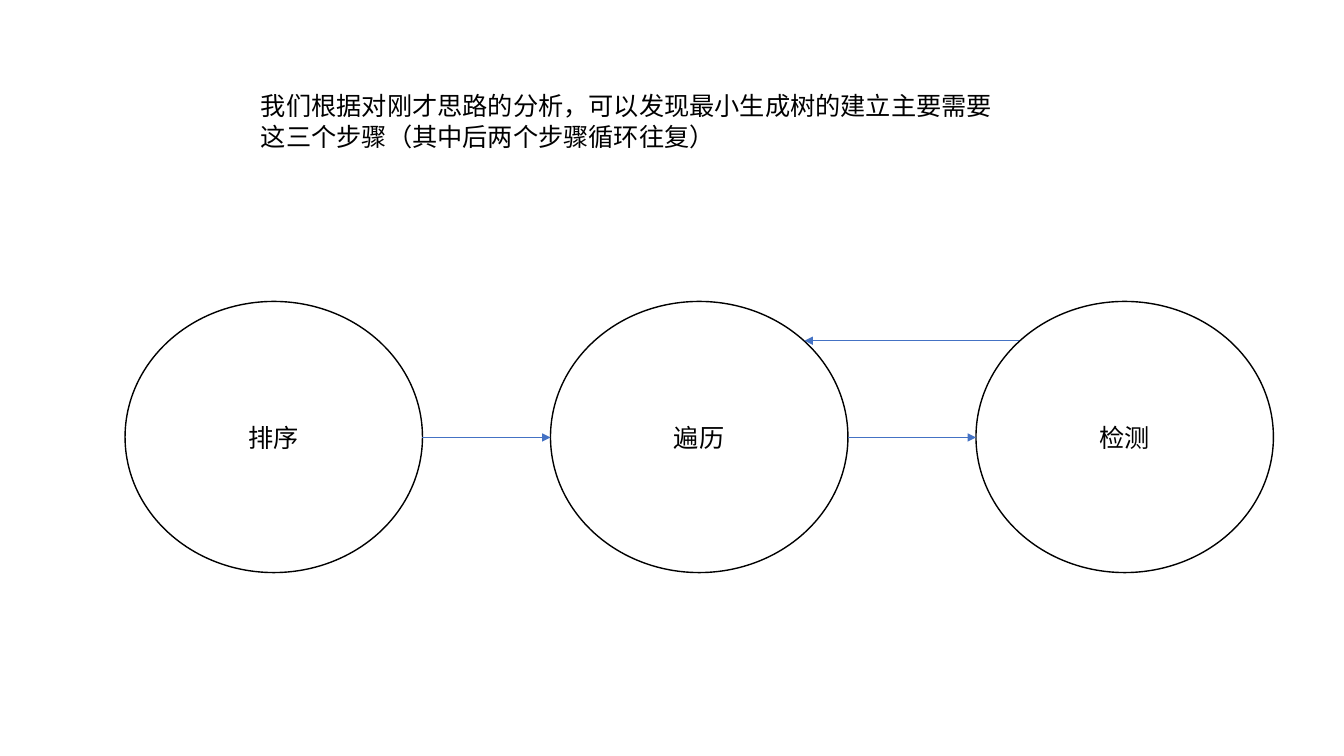
import math
import pptx
import pptx.util
import pptx.dml.color
import pptx.enum.shapes
import pptx.enum.text
import pptx.oxml.ns
import lxml.etree

SCALE = 9144
FONT = "Noto Sans CJK SC"
INTRO = "我们根据对刚才思路的分析，可以发现最小生成树的建立主要需要这三个步骤（其中后两个步骤循环往复）"
STEPS = ["排序", "遍历", "检测"]


def px(*sizes):
    return [pptx.util.Emu(round(size) * SCALE) for size in sizes]


def color(code):
    return pptx.dml.color.RGBColor.from_string(code)


def tag(parent, name, **attrs):
    return lxml.etree.SubElement(parent, pptx.oxml.ns.qn(name), **attrs)


def write(frame, text, align):
    frame.word_wrap = True
    para = frame.paragraphs[0]
    para.text = text
    para.alignment = align
    para.font.name = FONT
    para.font.size = pptx.util.Pt(18)
    para.font.color.rgb = color("000000")
    tag(para._p.xpath("a:pPr/a:defRPr")[0], "a:ea", typeface=FONT)


def arrow(slide, start, end):
    kind = pptx.enum.shapes.MSO_CONNECTOR.STRAIGHT
    link = slide.shapes.add_connector(kind, *px(*start, *end))
    link.line.color.rgb = color("4472C4")
    link.line.width = pptx.util.Pt(0.5)
    tag(link.line._get_or_add_ln(), "a:tailEnd", type="triangle")
    tag(link._element.spPr, "a:effectLst")


def intro(slide, left, top, width, height):
    box = slide.shapes.add_textbox(*px(left, top, width, height))
    write(box.text_frame, INTRO, pptx.enum.text.PP_ALIGN.LEFT)
    box.text_frame.auto_size = pptx.enum.text.MSO_AUTO_SIZE.SHAPE_TO_FIT_TEXT


def circle(slide, text, left, top, width, height):
    oval = slide.shapes.add_shape(
        pptx.enum.shapes.MSO_SHAPE.OVAL, *px(left, top, width, height))
    oval.shadow.inherit = False
    oval.fill.solid()
    oval.fill.fore_color.rgb = color("FFFFFF")
    oval.line.color.rgb = color("000000")
    oval.line.width = pptx.util.Pt(1)
    oval.text_frame.vertical_anchor = pptx.enum.text.MSO_ANCHOR.MIDDLE
    write(oval.text_frame, text, pptx.enum.text.PP_ALIGN.CENTER)


def flow(slide, left, top, width, height):
    size = 295
    pitch = (width - size) / (len(STEPS) - 1)
    lefts = [left + i * pitch for i in range(len(STEPS))]
    mid = top + height / 2
    for text, x in zip(STEPS, lefts):
        circle(slide, text, x, top, size, height)
    for x, after in zip(lefts, lefts[1:]):
        arrow(slide, (x + size, mid), (after, mid))
    diag = math.sqrt(0.5)
    back = mid - height / 2 * diag
    inset = size / 2 * (1 - diag)
    arrow(slide, (lefts[2] + inset, back), (lefts[1] + size - inset, back))


def main():
    deck = pptx.Presentation()
    deck.slide_width, deck.slide_height = px(1333, 750)
    slide = deck.slides.add_slide(deck.slide_layouts[6])
    flow(slide, 124, 299, 1139, 269)
    intro(slide, 249, 85, 751, 71)
    deck.save("out.pptx")


if __name__ == "__main__":
    main()
